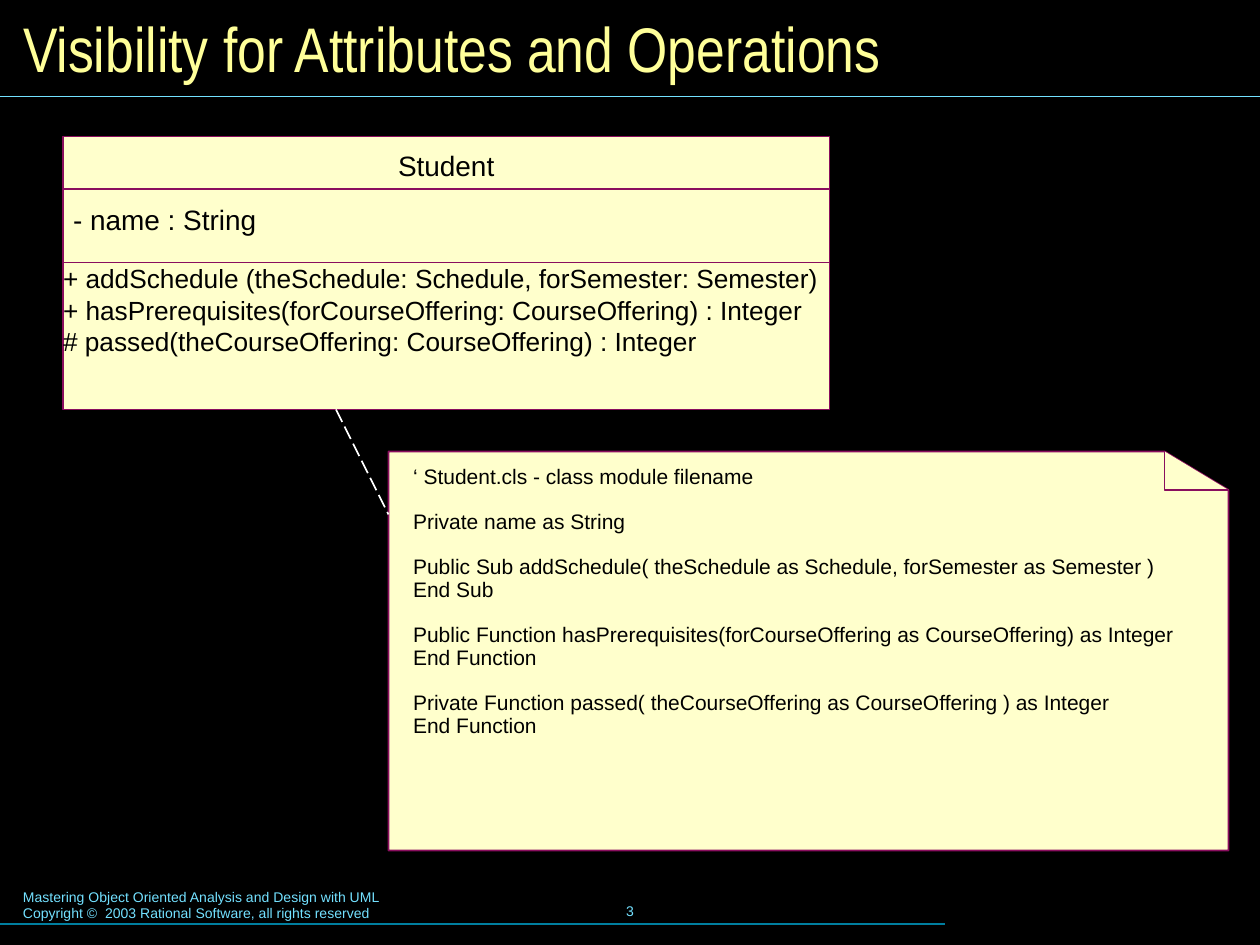
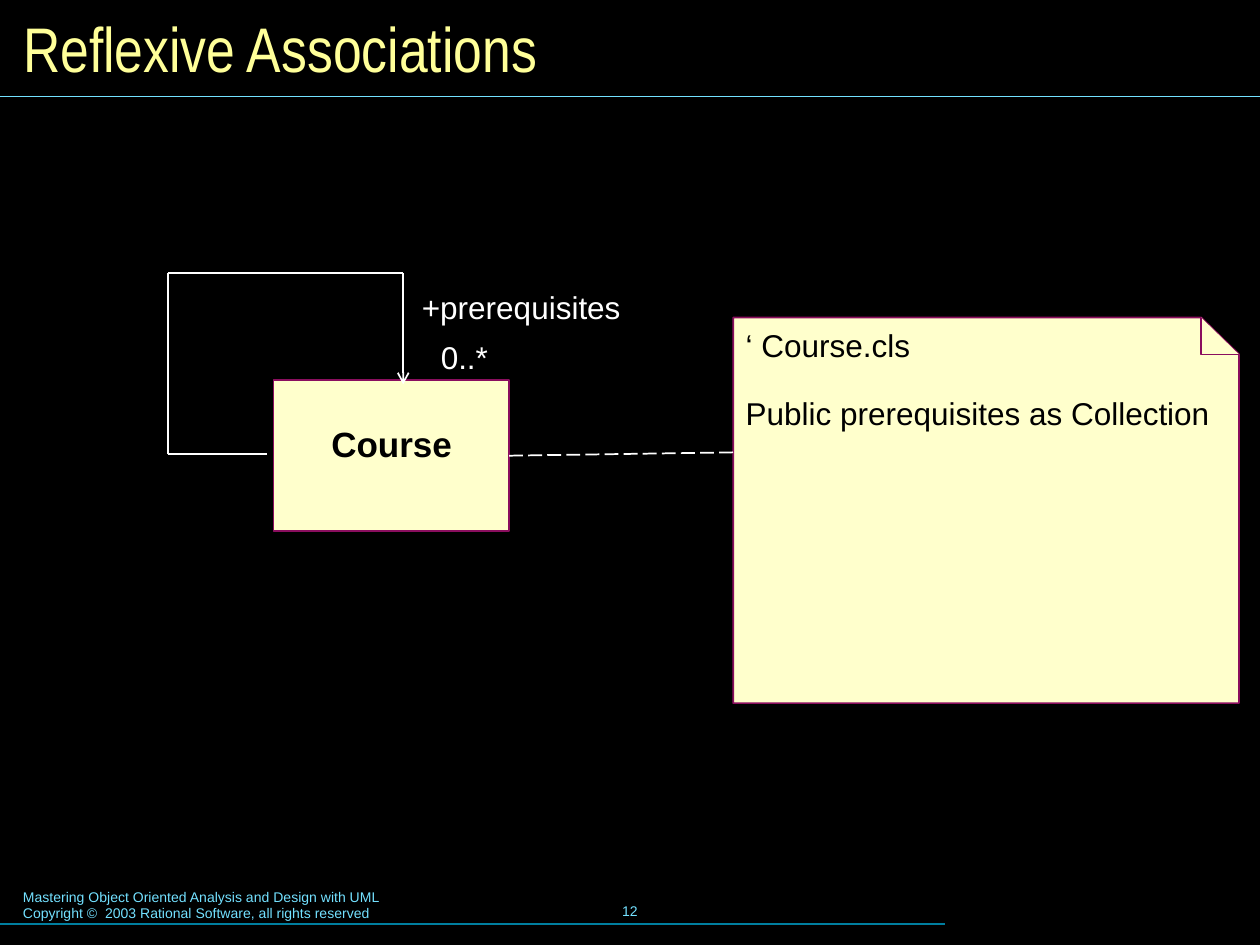
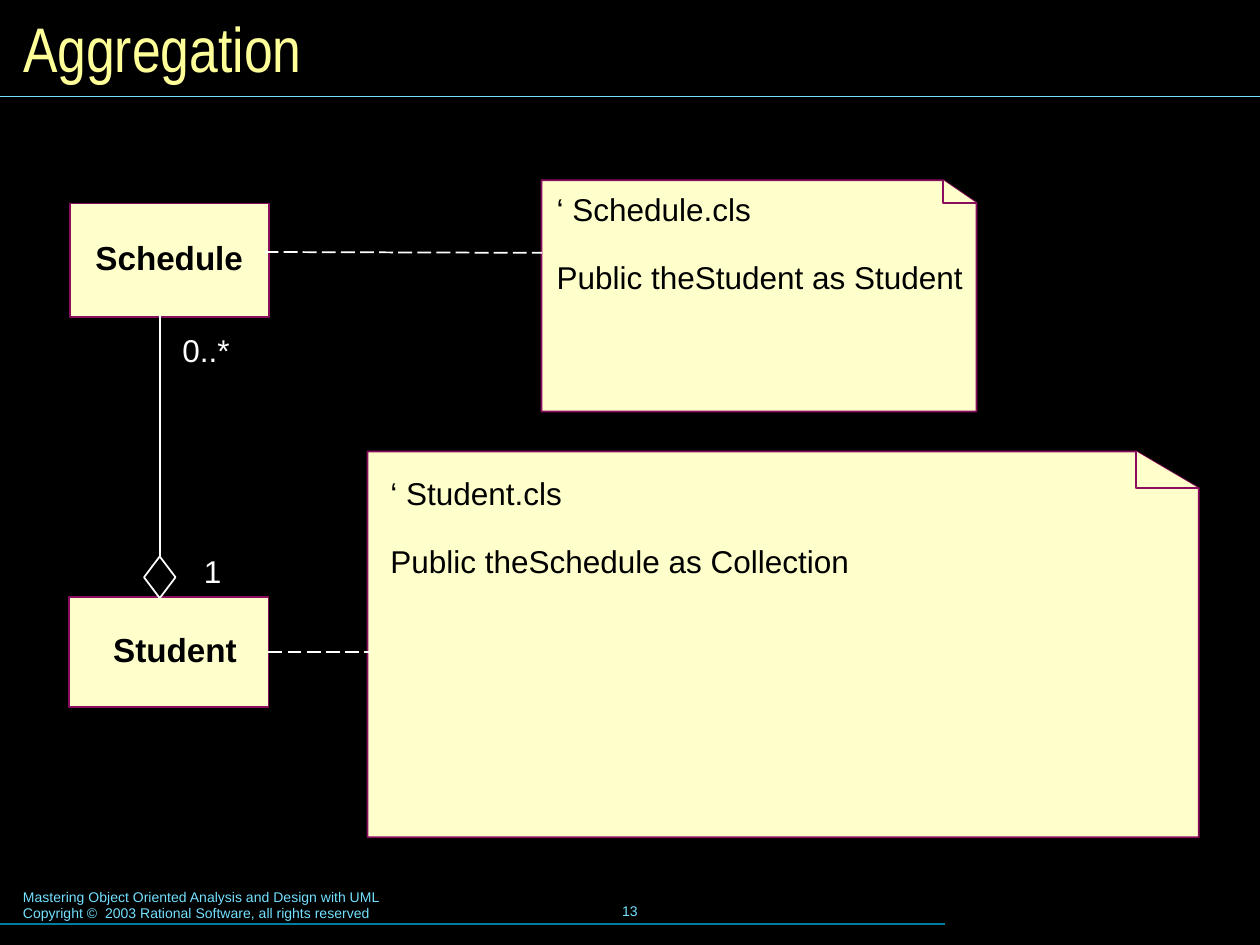
from itertools import pairwise

from lxml import etree
from pptx import Presentation
from pptx.dml.color import RGBColor
from pptx.enum.dml import MSO_LINE
from pptx.enum.shapes import MSO_CONNECTOR as CONN, MSO_SHAPE as SHAPE
from pptx.enum.text import MSO_ANCHOR as ANCHOR, MSO_AUTO_SIZE as AUTO, PP_ALIGN as ALIGN
from pptx.oxml.ns import qn
from pptx.util import Pt

COLORS = {
    "back": "000000", "title": "FFFF99", "rule": "73E1FF", "dim_rule": "007E9F",
    "paper": "FFFFCC", "border": "8A0E5E", "ink": "000000", "white": "FFFFFF",
}
FOOTER = [["Mastering Object Oriented Analysis and Design with UML",
           "Copyright ©  2003 Rational Software, all rights reserved"]]

# Text styles: what differs from the defaults of add_text
STYLES = {
    "footer": dict(size=8, color="rule", wrap=True),
    "number": dict(size=8, color="rule", align=ALIGN.CENTER, anchor=ANCHOR.MIDDLE),
    "member": dict(size=16, inset=(0, 0)),
    "operations": dict(size=15, inset=(0, 0)),
    "course": dict(size=20, bold=True, spacing=0.9),
    "class": dict(size=19, bold=True, spacing=0.9),
    "role": dict(size=18, color="white", spacing=0.9),
    "count": dict(size=18, color="white", wrap=True),
    "listing": dict(size=12, spacing=0.9, wrap=True),
    "code": dict(size=18, spacing=0.9),
}

# boxes: name, (left, top, width, height), border width
# notes: (left, top, width, height), (fold width, fold height)
# links: from, to, dashed; an end is a point or (box name, side)
# texts: style, (left, top, width, height), blocks of lines
SLIDES = [
    dict(
        title="Visibility for Attributes and Operations", number="3",
        boxes=[("Student", (36, 78, 438, 156), 0)],
        notes=[((222, 258, 480, 228), (36.5, 22))],
        dividers=[((36, 150), (474, 150)), ((36, 108), (474, 108))],
        links=[((192, 234), (222, 294), True)],
        texts=[
            ("listing", (229, 262.8, 458.6, 162), [
                ["‘ Student.cls - class module filename"],
                ["Private name as String"],
                ["Public Sub addSchedule( theSchedule as Schedule, forSemester as Semester )",
                 "End Sub"],
                ["Public Function hasPrerequisites(forCourseOffering as CourseOffering) as Integer",
                 "End Function"],
                ["Private Function passed( theCourseOffering as CourseOffering ) as Integer",
                 "End Function"],
            ]),
            ("member", (227.5, 85, 54.7, 19.4), [["Student"]]),
            ("member", (41.8, 116, 104.4, 19.4), [["- name : String"]]),
            ("operations", (36, 150, 431.3, 54), [[
                "+ addSchedule (theSchedule: Schedule, forSemester: Semester)",
                "+ hasPrerequisites(forCourseOffering: CourseOffering) : Integer",
                "# passed(theCourseOffering: CourseOffering) : Integer"]]),
        ],
    ),
    dict(
        title="Reflexive Associations", number="12",
        boxes=[("Course", (156.3, 217.2, 134.6, 86.4), 1)],
        notes=[((419, 181.5, 289, 220.3), (21.6, 21))],
        links=[(("Course", 3), (419, 258.5), True)],
        loop=[(152.6, 259.6), (96, 259.6), (96, 156), (230.4, 156), (230.4, 219.6)],
        texts=[
            ("course", (182.2, 240.5, 82.8, 28), [["Course"]]),
            ("role", (234, 163.4, 127.4, 26), [["+prerequisites"]]),
            ("role", (244.8, 192.2, 41, 26), [["0..*"]]),
            ("code", (419, 185, 278.6, 64.8),
             [["‘ Course.cls"], ["Public prerequisites as Collection"]]),
        ],
    ),
    dict(
        title="Aggregation", number="13",
        boxes=[("Schedule", (39.8, 116.3, 113.8, 64.8), 1),
               ("Student", (39.6, 341.3, 113.8, 62.6), 1)],
        notes=[((309.5, 103, 248.5, 132.2), (19, 13)),
               ((210, 258, 475, 220.4), (35.7, 21))],
        diamonds=[("aggregate", (82.3, 318, 18, 23.8))],
        links=[((151.2, 144), (309.6, 144.5), True),
               (("aggregate", 0), (91.3, 180), False),
               (("Student", 3), (211.5, 372.6), True)],
        texts=[
            ("class", (47.5, 134.6, 98.6, 28), [["Schedule"]]),
            ("class", (57.6, 358.6, 85, 28), [["Student"]]),
            ("code", (311, 107.3, 246.2, 64.8),
             [["‘ Schedule.cls"], ["Public theStudent as Student"]]),
            ("count", (97.2, 185.8, 72, 28.8), [["0..*"]]),
            ("count", (109.4, 311.8, 72, 28.8), [["1"]]),
            ("code", (216, 270, 275.8, 64.8),
             [["‘ Student.cls"], ["Public theSchedule as Collection"]]),
        ],
    ),
]


def rgb(name):
    return RGBColor.from_string(COLORS[name])


def pts(values):
    return [Pt(v) for v in values]


def add_run(p, text, size, color, bold=False, font="Arial"):
    r = p.add_run()
    r.text = text
    r.font.size, r.font.name, r.font.bold = Pt(size), font, bold
    r.font.color.rgb = rgb(color)


def set_frame(tf, anchor, inset, wrap):
    tf.auto_size, tf.word_wrap, tf.vertical_anchor = AUTO.NONE, wrap, anchor
    tf.margin_left = tf.margin_right = Pt(inset[0])
    tf.margin_top = tf.margin_bottom = Pt(inset[1])


def add_text(s, box, blocks, size, color="ink", bold=False, spacing=1.0,
             inset=(7.2, 3.6), wrap=False, align=ALIGN.LEFT, anchor=ANCHOR.TOP):
    tf = s.shapes.add_textbox(*pts(box)).text_frame
    set_frame(tf, anchor, inset, wrap)
    for b, block in enumerate(blocks):
        for i, line in enumerate(block):
            first = b == i == 0
            p = tf.paragraphs[0] if first else tf.add_paragraph()
            p.alignment, p.line_spacing = align, spacing
            if b and i == 0:  # one line of space between blocks
                p.space_before = Pt(round(size * 1.2 * spacing, 2))
            add_run(p, line, size, color, bold)


def paint(sp, fill, line, width):
    sp.shadow.inherit = False
    if fill:
        sp.fill.solid()
        sp.fill.fore_color.rgb = rgb(fill)
    else:
        sp.fill.background()
    sp.line.color.rgb = rgb(line)
    sp.line.width = Pt(width)


def add_preset(s, kind, box, fill, line, width):
    sp = s.shapes.add_shape(kind, *pts(box))
    paint(sp, fill, line, width)
    return sp


def add_outline(s, points, close):
    start, *rest = [tuple(pts(pt)) for pt in points]
    builder = s.shapes.build_freeform(*start)
    builder.add_line_segments(rest, close=close)
    paint(builder.convert_to_shape(), "paper", "border", 1)


def add_note(s, box, fold):
    left, top, width, height = box
    right, bottom = left + width, top + height
    fold_x, fold_y = right - fold[0], top + fold[1]
    add_outline(s, [(right, bottom), (left, bottom), (left, top),
                    (fold_x, top), (right, fold_y)], True)
    add_outline(s, [(right, fold_y), (fold_x, fold_y), (fold_x, top)], False)


def add_line(shapes, start, end, color="white", width=1, dashed=False, arrow=False):
    c = shapes.add_connector(CONN.STRAIGHT, *pts(start + end))
    c.line.color.rgb = rgb(color)
    c.line.width = Pt(width)
    if dashed:
        c.line.dash_style = MSO_LINE.LONG_DASH
    props = c._element.spPr
    if arrow:
        etree.SubElement(props.find(qn("a:ln")), qn("a:tailEnd"), type="arrow")
    etree.SubElement(props, qn("a:effectLst"))
    return c


def add_link(s, start, end, dashed, joints):
    joined = start[0] in joints
    c = add_line(s.shapes, end if joined else start, end, dashed=dashed)
    if joined:
        c.begin_connect(joints[start[0]], start[1])


def add_base(prs, title, number):
    """Title, rules and footer that every slide has."""
    s = prs.slides.add_slide(prs.slide_layouts[5])
    sp = s.shapes.title
    sp.left, sp.top, sp.width, sp.height = pts((6, 6, 708, 42))
    set_frame(sp.text_frame, ANCHOR.MIDDLE, (7.2, 3.6), True)
    p = sp.text_frame.paragraphs[0]
    p.alignment = ALIGN.LEFT
    add_run(p, title, 36, "title", font="Arial Narrow")
    add_text(s, (6, 504, 367, 27), FOOTER, **STYLES["footer"])
    add_text(s, (246, 502.5, 228, 36), [[number]], **STYLES["number"])
    add_line(s.shapes, (0, 528), (540, 528), "dim_rule", 0.75)
    add_line(s.shapes, (0, 55), (720, 55), "rule", 0.75)
    return s


def add_diagram(prs, d):
    s = add_base(prs, d["title"], d["number"])
    # Classes, notes and diamonds
    joints = {}
    for name, box, border in d["boxes"]:
        joints[name] = add_preset(s, SHAPE.RECTANGLE, box, "paper", "border", border)
    for box, fold in d["notes"]:
        add_note(s, box, fold)
    for name, box in d.get("diamonds", []):
        joints[name] = add_preset(s, SHAPE.DIAMOND, box, None, "white", 1)
    # Lines
    for start, end in d.get("dividers", []):
        add_line(s.shapes, start, end, "border")
    for start, end, dashed in d["links"]:
        add_link(s, start, end, dashed, joints)
    if "loop" in d:
        group = s.shapes.add_group_shape()
        for start, end in pairwise(d["loop"]):
            add_line(group.shapes, start, end, arrow=end == d["loop"][-1])
    # Labels and code
    for style, box, blocks in d["texts"]:
        add_text(s, box, blocks, **STYLES[style])


def main():
    prs = Presentation()
    prs.slide_width, prs.slide_height = Pt(720), Pt(540)
    fill = prs.slide_master.background.fill
    fill.solid()
    fill.fore_color.rgb = rgb("back")
    for d in SLIDES:
        add_diagram(prs, d)
    prs.save("out.pptx")


if __name__ == "__main__":
    main()
